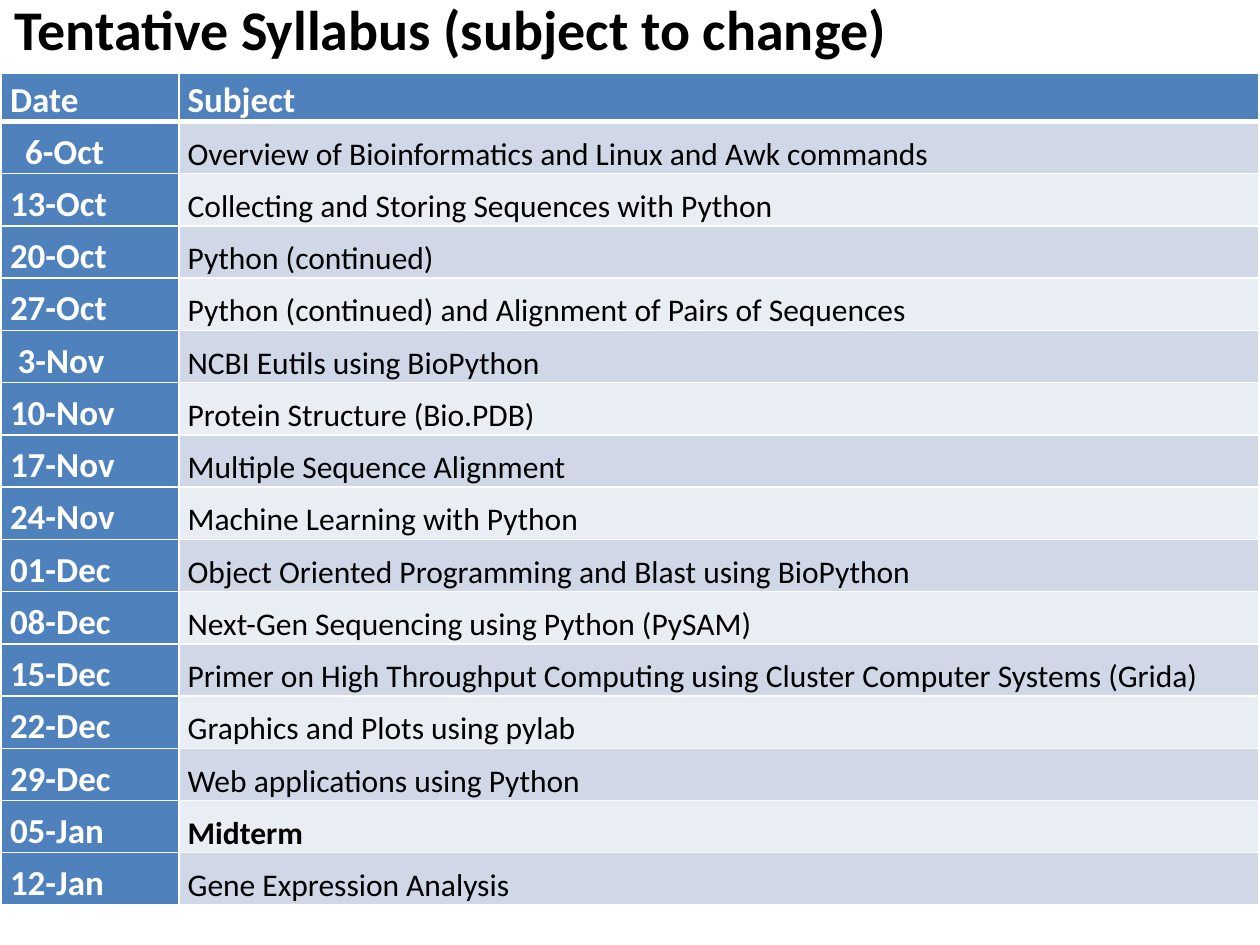
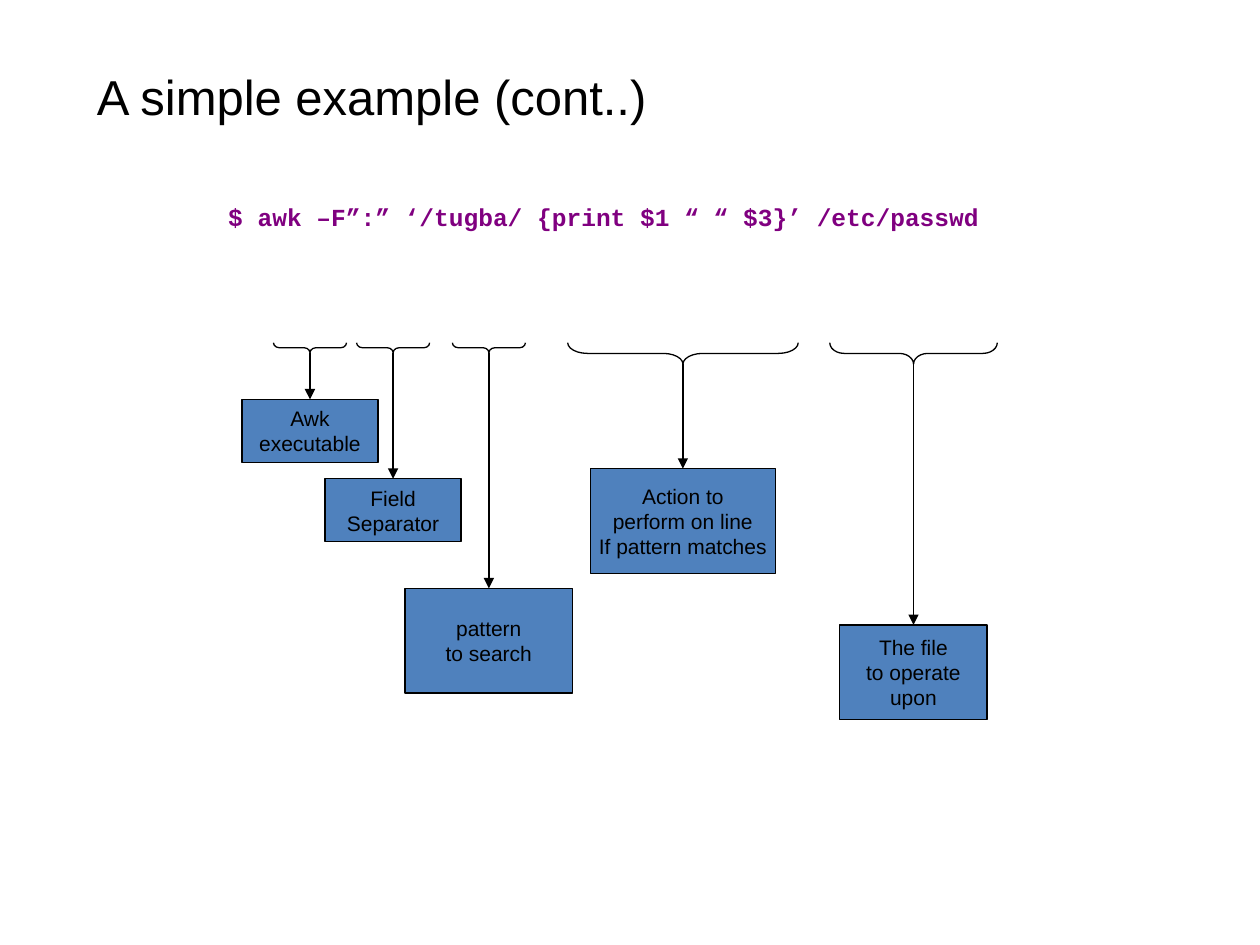
from dataclasses import dataclass

from lxml import etree
from pptx import Presentation
from pptx import util as u
from pptx.dml.color import RGBColor
from pptx.enum import shapes, text
from pptx.oxml.ns import qn


@dataclass(frozen=True)
class Theme:
    blue: str = "4F81BD"
    bands: tuple = ("D0D8E8", "E9EDF4")
    black: str = "000000"
    white: str = "FFFFFF"
    purple: str = "800080"
    heading: str = "Calibri"
    body: str = "Arial"
    mono: str = "Courier New"
    syllabus_title: float = 32
    title: float = 28
    table_head: float = 20
    table_body: float = 18
    code: float = 14
    label: float = 12
    line: float = 0.75


T = Theme()

SYLLABUS = [
    ("6-Oct", "Overview of Bioinformatics and Linux and Awk commands"),
    ("13-Oct", "Collecting and Storing Sequences with Python"),
    ("20-Oct", "Python (continued)"),
    ("27-Oct", "Python (continued) and Alignment of Pairs of Sequences"),
    ("3-Nov", "NCBI Eutils using BioPython"),
    ("10-Nov", "Protein Structure (Bio.PDB)"),
    ("17-Nov", "Multiple Sequence Alignment"),
    ("24-Nov", "Machine Learning with Python"),
    ("01-Dec", "Object Oriented Programming and Blast using BioPython"),
    ("08-Dec", "Next-Gen Sequencing using Python (PySAM)"),
    ("15-Dec", "Primer on High Throughput Computing using Cluster Computer Systems (Grida)"),
    ("22-Dec", "Graphics and Plots using pylab"),
    ("29-Dec", "Web applications using Python"),
    ("05-Jan", "Midterm"),
    ("12-Jan", "Gene Expression Analysis"),
]
DATE_INDENTS = {"6-Oct": 0.12, "3-Nov": 0.06}

# centre x, brace span, brace depth, brace curl, box top, box width, box height, lines
CALLOUTS = [
    (2.46, 0.58, 0.08, 0.58, 3.17, 1.08, 0.5, ["Awk", "executable"]),
    (3.12, 0.58, 0.08, 0.58, 3.8, 1.08, 0.5, ["Field", "Separator"]),
    (3.88, 0.58, 0.08, 0.58, 4.67, 1.33, 0.83, ["pattern", "to search"]),
    (5.42, 1.83, 0.17, 0.92, 3.72, 1.47, 0.83,
     ["Action to", "perform on line", "If pattern matches"]),
    (7.25, 1.33, 0.17, 0.67, 4.96, 1.17, 0.75, ["The file", "to operate", "upon"]),
]


def rgb(value):
    return RGBColor.from_string(value)


def inches(*values):
    return [u.Inches(v) for v in values]


def write(tf, lines, size, font, color=T.black, bold=False, **para):
    """Put each line in its own paragraph with one character format."""
    for i, line in enumerate(lines):
        p = tf.paragraphs[0] if i == 0 else tf.add_paragraph()
        for name, value in para.items():
            setattr(p, name, value)
        r = p.add_run()
        r.text = line
        for name, value in dict(size=u.Pt(size), name=font, bold=bold).items():
            setattr(r.font, name, value)
        r.font.color.rgb = rgb(color)


def add_text(s, box, line, size, font, inset=0, **style):
    tf = s.shapes.add_textbox(*inches(*box)).text_frame
    tf.word_wrap = True
    for side, pad in zip(("left", "top", "right", "bottom"), (2 * inset, inset) * 2):
        setattr(tf, f"margin_{side}", u.Inches(pad))
    write(tf, [line], size, font, **style)


def set_borders(cell, **widths):
    tcPr = cell._tc.get_or_add_tcPr()
    for i, side in enumerate("LRTB"):
        ln = etree.Element(qn(f"a:ln{side}"), w=str(u.Pt(widths.get(side, 1))))
        fill = etree.SubElement(ln, qn("a:solidFill"))
        etree.SubElement(fill, qn("a:srgbClr"), val=T.white)
        tcPr.insert(i, ln)


def fill_cell(cell, line, fill, indent=0, **style):
    margins = dict(margin_left=0.07 + indent, margin_right=0.07,
                   margin_top=0, margin_bottom=0)
    for name, value in margins.items():
        setattr(cell, name, u.Inches(value))
    cell.vertical_anchor = text.MSO_ANCHOR.BOTTOM
    cell.fill.solid()
    cell.fill.fore_color.rgb = rgb(fill)
    write(cell.text_frame, [line], font=T.heading, line_spacing=1.15, **style)


def add_syllabus_table(s, box, date_width=1.41, head_height=0.38):
    x, y, w, h = box
    table = s.shapes.add_table(len(SYLLABUS) + 1, 2, *inches(*box)).table
    for col, width in zip(table.columns, (date_width, w - date_width)):
        col.width = u.Inches(width)
    for i, row in enumerate(table.rows):
        row.height = u.Inches((h - head_height) / len(SYLLABUS) if i else head_height)

    head = dict(fill=T.blue, size=T.table_head, color=T.white, bold=True)
    for col, line in enumerate(("Date", "Subject")):
        fill_cell(table.cell(0, col), line, **head)
        set_borders(table.cell(0, col), B=3)
    for i, (date, subject) in enumerate(SYLLABUS):
        fill_cell(table.cell(i + 1, 0), date, indent=DATE_INDENTS.get(date, 0), **head)
        fill_cell(table.cell(i + 1, 1), subject, T.bands[i % 2],
                  size=T.table_body, bold=subject == "Midterm")
        for col in range(2):
            set_borders(table.cell(i + 1, col), T=1 if i else 3)


def outline(sp):
    sp.line.color.rgb = rgb(T.black)
    sp.line.width = u.Pt(T.line)


def add_brace(s, cx, top, span, depth, curl):
    """Draw a brace that opens upward and points down."""
    cy = top + depth / 2
    sp = s.shapes.add_shape(shapes.MSO_SHAPE.RIGHT_BRACE,
                            *inches(cx - depth / 2, cy - span / 2, depth, span))
    sp.rotation = 90
    sp.adjustments[0] = curl
    sp.shadow.inherit = False
    sp.fill.background()
    outline(sp)


def add_label(s, box, lines):
    sp = s.shapes.add_shape(shapes.MSO_SHAPE.RECTANGLE, *inches(*box))
    sp.shadow.inherit = False
    sp.fill.solid()
    sp.fill.fore_color.rgb = rgb(T.blue)
    outline(sp)
    tf = sp.text_frame
    tf.word_wrap = False
    tf.vertical_anchor = text.MSO_ANCHOR.MIDDLE
    write(tf, lines, T.label, T.body, alignment=text.PP_ALIGN.CENTER)
    return sp


def add_arrow(s, cx, top, target):
    start = inches(cx, top)
    cxn = s.shapes.add_connector(shapes.MSO_CONNECTOR.STRAIGHT, *start, *start)
    cxn.end_connect(target, 0)
    outline(cxn)
    etree.SubElement(cxn.line._get_or_add_ln(), qn("a:tailEnd"), type="triangle")
    etree.SubElement(cxn._element.spPr, qn("a:effectLst"))


def add_callout(s, top, cx, span, depth, curl, box_top, width, height, lines):
    add_brace(s, cx, top, span, depth, curl)
    label = add_label(s, (cx - width / 2, box_top, width, height), lines)
    add_arrow(s, cx, top + depth, label)


def syllabus_slide(s):
    add_text(s, (0.02, -0.09, 9.96, 0.65), "Tentative Syllabus (subject to change)",
             T.syllabus_title, T.heading, inset=0.05, bold=True)
    add_syllabus_table(s, (0.01, 0.58, 9.98, 6.6))


def awk_slide(s):
    add_text(s, (0.77, 0.53, 8.26, 1.07), "A simple example (cont..)", T.title, T.body)
    add_text(s, (0.77, 1.6, 8.05, 0.24),
             "$ awk –F”:” ‘/tugba/ {print $1 “ “ $3}’ /etc/passwd",
             T.code, T.mono, color=T.purple, bold=True,
             alignment=text.PP_ALIGN.CENTER)
    for callout in CALLOUTS:
        add_callout(s, 2.72, *callout)


def main():
    prs = Presentation()
    prs.slide_width, prs.slide_height = inches(10, 7.5)
    for build in (syllabus_slide, awk_slide):
        build(prs.slides.add_slide(prs.slide_layouts[6]))
    prs.save("out.pptx")


if __name__ == "__main__":
    main()
